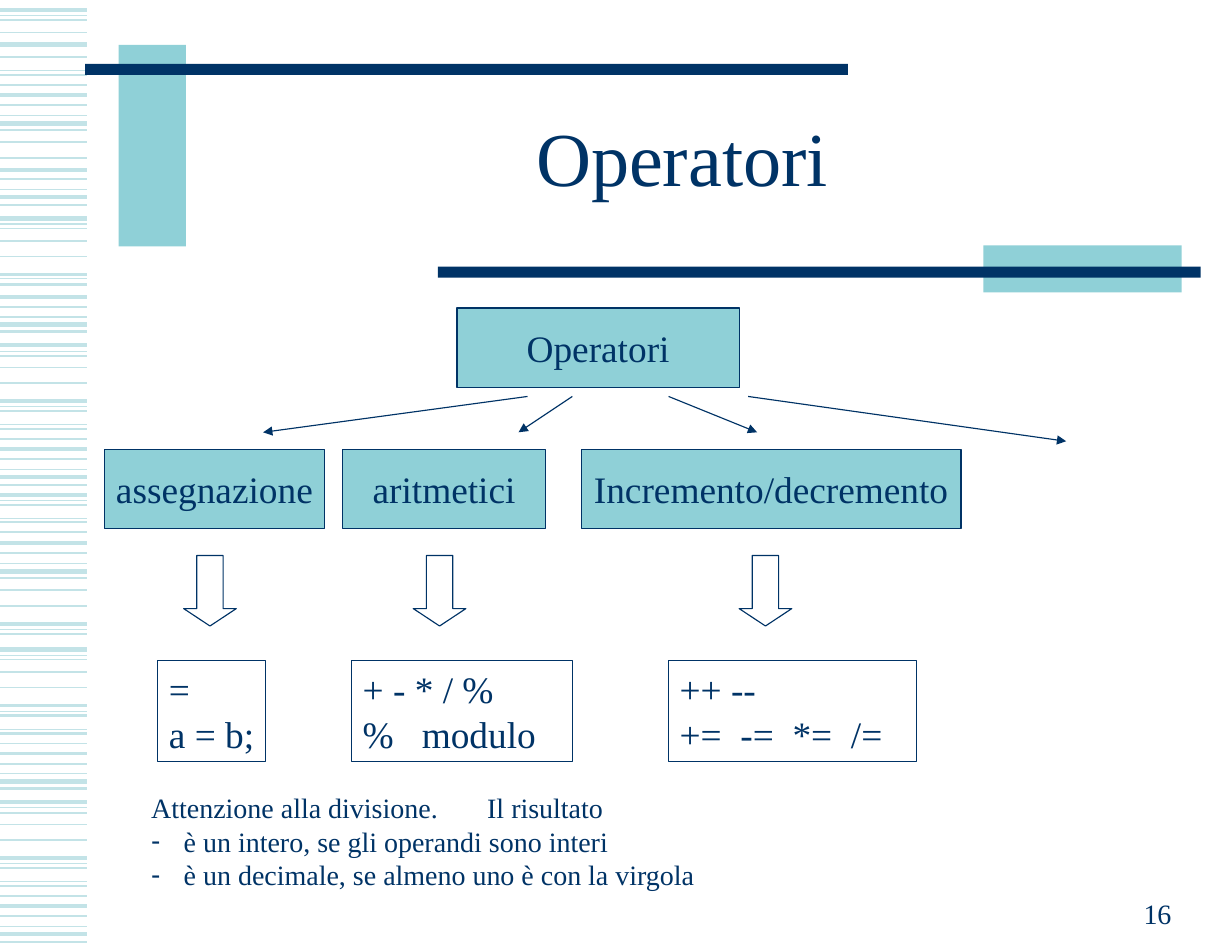
"""Builds the slide on operators: a tree of kinds, their symbols and a note on division."""
import lxml.etree
import pptx
import pptx.dml.color
import pptx.enum.shapes
import pptx.enum.text
import pptx.oxml.ns
import pptx.util

Inches = pptx.util.Inches
Pt = pptx.util.Pt
RGBColor = pptx.dml.color.RGBColor
Shape = pptx.enum.shapes.MSO_SHAPE
Align = pptx.enum.text.PP_ALIGN
Anchor = pptx.enum.text.MSO_ANCHOR
qn = pptx.oxml.ns.qn

NAVY = RGBColor(0x00, 0x33, 0x66)
TEAL = RGBColor(0x8F, 0xD0, 0xD7)
PALE = RGBColor(0xC3, 0xE3, 0xE7)
WHITE = RGBColor(0xFF, 0xFF, 0xFF)
FONT = "Times New Roman"

STRIPES = {
    0.75: [0.14, 0.63, 1.03, 1.69, 2, 2.49, 2.83, 3.14, 3.63, 3.79, 4.19, 4.47,
           4.63, 5.03, 5.62, 5.85, 6.35, 6.51, 6.91, 7.21, 7.71, 7.87, 8.27],
    1: [0.18, 0.29, 0.76, 1.27, 1.41, 2.04, 2.15, 2.29, 3.18, 3.28, 3.42, 3.92,
        4.75, 5.27, 5.41, 5.89, 6, 6.14, 6.64, 7.26, 7.36, 7.5, 8],
    1.5: [0.51, 0.67, 0.94, 1.16, 1.6, 1.83, 2.54, 2.74, 2.96, 3.67, 3.83, 4.1, 4.33,
          4.51, 4.66, 4.94, 5.16, 5.66, 6.39, 6.55, 6.82, 7.04, 7.75, 7.91, 8.18, 8.41],
    2.25: [0.85, 1.52, 2.45, 2.65, 3.58, 4.01, 4.42, 4.85, 5.57, 6.3, 6.73, 7.66, 8.09],
    3: [0.09, 0.4, 1.1, 1.76, 1.95, 2.9, 3.08, 4.26, 5.1, 5.8, 6.98, 7.16, 8.34],
}
BANDS = [
    (1.06, 0.4, 0.6, 1.8, TEAL),
    (0.76, 0.57, 6.81, 0.1, NAVY),
    (8.78, 2.19, 1.77, 0.42, TEAL),
    (3.91, 2.38, 6.81, 0.1, NAVY),
]
BRANCHES = [
    (4.71, 2.35, 3.86),
    (5.11, 4.63, 3.86),
    (5.97, 6.76, 3.86),
    (6.68, 9.52, 3.94),
]
KINDS = [
    ("assegnazione", 0.93, 1.97, 1.64, ["=", "a = b;"], 1.41, 0.96),
    ("aritmetici", 3.06, 1.81, 3.69, ["+ - * / %", "%   modulo"], 3.14, 1.97),
    ("Incremento/decremento", 5.19, 3.39, 6.6, ["++ --", "+=  -=  *=  /="], 5.97, 2.21),
]
NOTE = [
    "Attenzione alla divisione. \tIl risultato",
    "è un intero, se gli operandi sono interi",
    "è un decimale, se almeno uno è con la virgola",
]


class SlideBuilder:
    """Holds the style and the current slide."""

    def __init__(self, page):
        self.page = page

    def set_text(self, box, lines, size, align=Align.LEFT, anchor=Anchor.TOP, wrap=True,
                 inset=(0.1, 0.05)):
        frame = box.text_frame
        frame.auto_size = pptx.enum.text.MSO_AUTO_SIZE.NONE
        frame.word_wrap = wrap
        frame.vertical_anchor = anchor
        frame.margin_left = frame.margin_right = Inches(inset[0])
        frame.margin_top = frame.margin_bottom = Inches(inset[1])
        frame.text = "\n".join(lines)
        for paragraph in frame.paragraphs:
            paragraph.alignment = align
            paragraph.space_before = Pt(0)
            paragraph.font.name = FONT
            paragraph.font.size = Pt(size)
            paragraph.font.color.rgb = NAVY
        return frame

    def place(self, box, left, top, width, height):
        box.left, box.top = Inches(left), Inches(top)
        box.width, box.height = Inches(width), Inches(height)

    def title(self, text, *area):
        box = self.page.shapes.title
        self.place(box, *area)
        frame = self.set_text(box, [text], 49, Align.CENTER, Anchor.MIDDLE, inset=(0.11, 0.06))
        frame.paragraphs[0].line_spacing = 0.85

    def body(self, lines, *area):
        box = self.page.placeholders[1]
        self.place(box, *area)
        heading, *items = self.set_text(box, lines, 18).paragraphs
        self.bullet(heading, None, 0)
        for item in items:
            self.bullet(item, "-", 0.29)

    def bullet(self, paragraph, char, indent):
        properties = paragraph._p.get_or_add_pPr()
        properties.set("marL", str(Inches(indent)))
        properties.set("indent", str(-Inches(indent)))
        tag = "a:buChar" if char else "a:buNone"
        mark = lxml.etree.SubElement(properties, qn(tag))
        if char:
            mark.set("char", char)
        defaults = properties.find(qn("a:defRPr"))
        if defaults is not None:
            defaults.addprevious(mark)

    def text(self, text, *area):
        box = self.page.shapes.add_textbox(*map(Inches, area))
        self.set_text(box, [text], 18, Align.RIGHT, Anchor.BOTTOM, inset=(0.11, 0.06))

    def shape(self, kind, area, fill=None, line=None):
        shape = self.page.shapes.add_shape(kind, *map(Inches, area))
        shape.shadow.inherit = False
        if fill is None:
            shape.fill.background()
        else:
            shape.fill.solid()
            shape.fill.fore_color.rgb = fill
        if line is None:
            shape.line.fill.background()
        else:
            shape.line.color.rgb = line
            shape.line.width = Pt(0.75)
        return shape

    def node(self, text, *area):
        box = self.shape(Shape.RECTANGLE, area, TEAL, NAVY)
        self.set_text(box, [text], 24, Align.CENTER, Anchor.MIDDLE, wrap=False)

    def symbols(self, lines, *area):
        box = self.shape(Shape.RECTANGLE, area, line=NAVY)
        self.set_text(box, lines, 24, wrap=area[2] > 1)

    def down_arrow(self, *area):
        arrow = self.shape(Shape.DOWN_ARROW, area, WHITE, NAVY)
        arrow.adjustments[1] = 0.33

    def line(self, start, end, color, weight, arrow=False):
        connector = self.page.shapes.add_connector(
            pptx.enum.shapes.MSO_CONNECTOR.STRAIGHT, *map(Inches, start + end))
        connector.line.color.rgb = color
        connector.line.width = Pt(weight)
        properties = connector._element.spPr
        if arrow:
            stroke = properties.find(qn("a:ln"))
            lxml.etree.SubElement(stroke, qn("a:tailEnd")).set("type", "triangle")
        lxml.etree.SubElement(properties, qn("a:effectLst"))


def main():
    deck = pptx.Presentation()
    deck.slide_width, deck.slide_height = Inches(11), Inches(8.5)
    builder = SlideBuilder(deck.slides.add_slide(deck.slide_layouts[1]))

    for weight, heights in STRIPES.items():
        for y in heights:
            builder.line((0, y), (0.78, y), PALE, weight)
    for *area, color in BANDS:
        builder.shape(Shape.RECTANGLE, area, color)

    builder.title("Operatori", 1.65, 0.75, 8.88, 1.42)
    builder.node("Operatori", 4.08, 2.75, 2.52, 0.71)
    for start, end, bottom in BRANCHES:
        builder.line((start, 3.54), (end, bottom), NAVY, 0.75, arrow=True)
    for name, left, width, arrow_left, lines, box_left, box_width in KINDS:
        builder.node(name, left, 4.01, width, 0.71)
        builder.down_arrow(arrow_left, 4.96, 0.47, 0.63)
        builder.symbols(lines, box_left, 5.9, box_width, 0.9)

    builder.body(NOTE, 1.25, 7.01, 7.09, 1)
    builder.text("16", 7.93, 7.79, 2.64, 0.57)
    deck.save("out.pptx")


if __name__ == "__main__":
    main()
